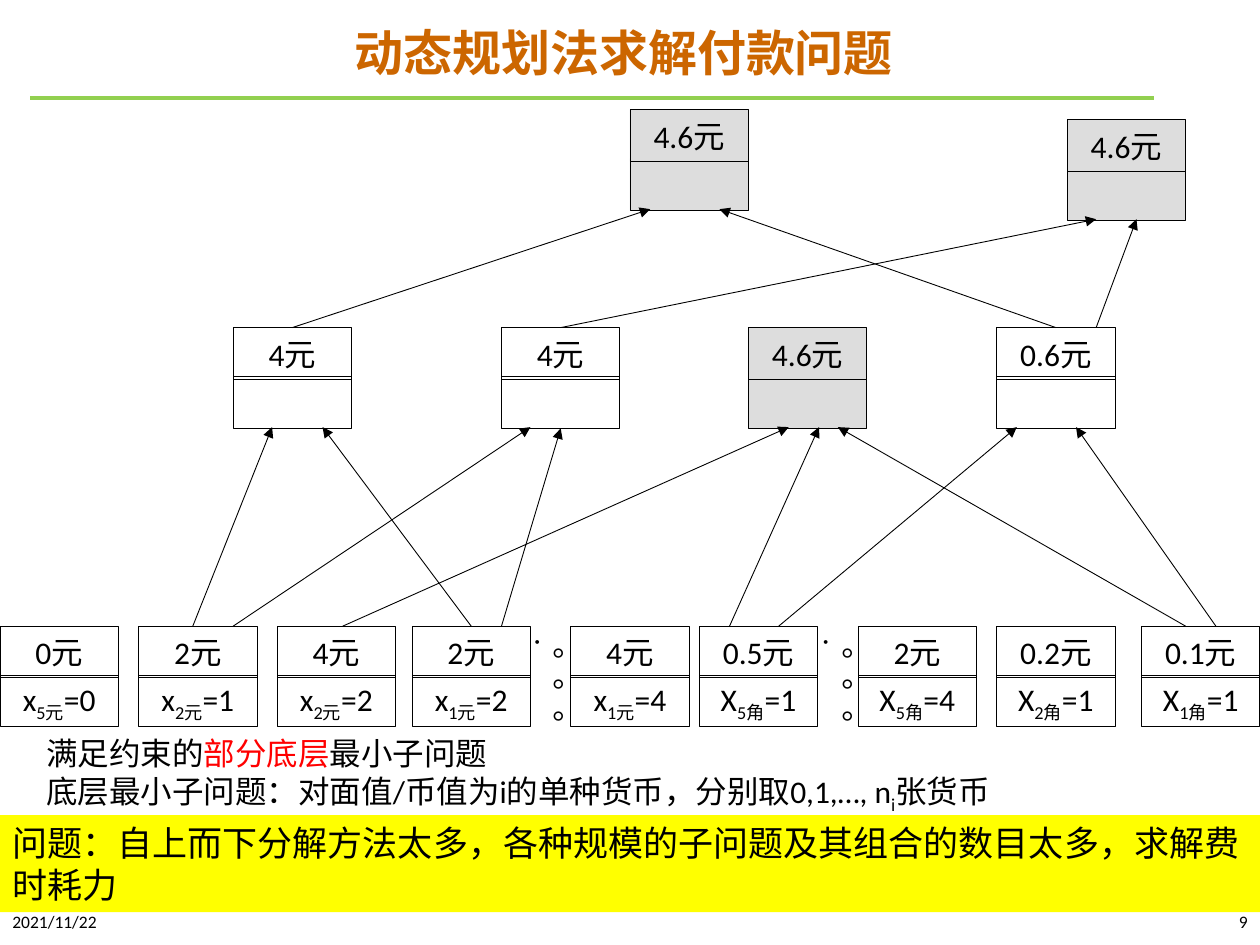
from lxml.etree import SubElement
from pptx import Presentation
from pptx.dml.color import RGBColor
from pptx.enum.shapes import MSO_CONNECTOR, MSO_SHAPE
from pptx.enum.text import MSO_ANCHOR, PP_ALIGN
from pptx.oxml.ns import qn
from pptx.util import Inches, Pt

BLACK = RGBColor(0x00, 0x00, 0x00)
RED = RGBColor(0xFF, 0x00, 0x00)
ORANGE = RGBColor(0xCC, 0x66, 0x00)
GREEN = RGBColor(0x92, 0xD0, 0x50)
GREY = RGBColor(0xDD, 0xDD, 0xDD)
YELLOW = RGBColor(0xFF, 0xFF, 0x00)
LATIN_FONT = "Calibri"
CHINESE_FONT = "Noto Sans CJK SC"

CELL_WIDTH, CELL_HEIGHT = 0.94, 0.41
CELL_STEP = 0.39
MIDDLE_TOP, MIDDLE_BOTTOM, LEAF_TOP = 2.6, 3.39, 4.97
TOP, BOTTOM = 0, 2

UPPER_NODES = {
    "left 4": (1.85, MIDDLE_TOP, "4元", None),
    "right 4": (3.98, MIDDLE_TOP, "4元", None),
    "middle 4.6": (5.94, MIDDLE_TOP, "4.6元", GREY),
    "0.6": (7.91, MIDDLE_TOP, "0.6元", None),
    "first root": (5, 0.87, "4.6元", GREY),
    "second root": (8.47, 0.95, "4.6元", GREY),
}
LEAVES = [
    (0, "0元", "x", "5元", 0),
    (1.1, "2元", "x", "2元", 1),
    (2.2, "4元", "x", "2元", 2),
    (3.27, "2元", "x", "1元", 2),
    (4.53, "4元", "x", "1元", 4),
    (5.55, "0.5元", "X", "5角", 1),
    (6.81, "2元", "X", "5角", 4),
    (7.91, "0.2元", "X", "2角", 1),
    (9.06, "0.1元", "X", "1角", 1),
]
LEAF_ARROWS = [
    (2.72, 6.26), (5.79, 6.5), (9.41, 6.65), (1.53, 2.16),
    (6.18, 8.07), (9.65, 8.54), (1.85, 4.21),
]


def write_text(shape, paragraphs, size=18, color=BLACK, font=LATIN_FONT, bold=False,
               align=PP_ALIGN.LEFT, anchor=MSO_ANCHOR.TOP, wrap=True,
               line_spacing=None, vertical=False):
    frame = shape.text_frame
    frame.word_wrap = wrap
    frame.vertical_anchor = anchor
    if vertical:
        shape.element.txBody.bodyPr.set("vert", "eaVert")
    for index, runs in enumerate(paragraphs):
        paragraph = frame.add_paragraph() if index else frame.paragraphs[0]
        paragraph.alignment = align
        if line_spacing:
            paragraph.line_spacing = line_spacing
        for text, style in runs:
            run = paragraph.add_run()
            run.text = text
            run.font.size = Pt(size)
            run.font.bold = bold
            run.font.color.rgb = style.get("color", color)
            run.font.name = font
            properties = run._r.get_or_add_rPr()
            SubElement(properties, qn("a:ea")).set("typeface", CHINESE_FONT)
            if style.get("subscript"):
                properties.set("baseline", "-25000")


def plain(text):
    return [[(text, {})]]


def add_text(slide, box, paragraphs, **text_format):
    shape = slide.shapes.add_textbox(*map(Inches, box))
    write_text(shape, paragraphs, **text_format)


def add_rectangle(shapes, box, fill=None, line=None):
    shape = shapes.add_shape(MSO_SHAPE.RECTANGLE, *map(Inches, box))
    shape.shadow.inherit = False
    if fill is None:
        shape.fill.background()
    else:
        shape.fill.solid()
        shape.fill.fore_color.rgb = fill
    if line is None:
        shape.line.fill.background()
    else:
        shape.line.color.rgb = line
        shape.line.width = Pt(0.5)
    return shape


def add_node(slide, left, top, amount, fill=None, formula=None):
    group = slide.shapes.add_group_shape()
    cells = []
    for cell_top, paragraphs in ((top + CELL_STEP, formula), (top, plain(amount))):
        box = (left, cell_top, CELL_WIDTH, CELL_HEIGHT)
        cell = add_rectangle(group.shapes, box, fill, BLACK)
        if paragraphs:
            write_text(cell, paragraphs, align=PP_ALIGN.CENTER,
                       anchor=MSO_ANCHOR.MIDDLE, wrap=False)
        cells.append(cell)
    lower, upper = cells
    return upper, lower


def add_line(slide, start, end, color=BLACK, width=0.5, arrow=False):
    connector = slide.shapes.add_connector(
        MSO_CONNECTOR.STRAIGHT, *map(Inches, start + end))
    connector.line.color.rgb = color
    connector.line.width = Pt(width)
    if arrow:
        SubElement(connector.line._get_or_add_ln(), qn("a:tailEnd")).set("type", "triangle")
    SubElement(connector.element.spPr, qn("a:effectLst"))
    return connector


def add_arrows(slide, upper_nodes, leaf_nodes):
    for start, end in LEAF_ARROWS:
        add_line(slide, (start, LEAF_TOP), (end, MIDDLE_BOTTOM), arrow=True)
    add_line(slide, (8.7, MIDDLE_TOP), (9.02, 1.74), arrow=True)
    for name, start, end in (("left 4", 2.32, (5.16, 1.66)),
                             ("0.6", 8.38, (5.71, 1.66)),
                             ("right 4", 4.45, (8.7, 1.74))):
        arrow = add_line(slide, (start, MIDDLE_TOP), end, arrow=True)
        arrow.begin_connect(upper_nodes[name][0], TOP)
    arrow = add_line(slide, (3.74, LEAF_TOP), (2.56, MIDDLE_BOTTOM), arrow=True)
    arrow.begin_connect(leaf_nodes[3][0], TOP)
    arrow = add_line(slide, (3.98, LEAF_TOP), (4.45, MIDDLE_BOTTOM), arrow=True)
    arrow.end_connect(upper_nodes["right 4"][1], BOTTOM)


def main():
    presentation = Presentation()
    presentation.slide_width = Inches(10)
    presentation.slide_height = Inches(7.5)
    slide = presentation.slides.add_slide(presentation.slide_layouts[6])

    add_line(slide, (0.24, 0.78), (9.16, 0.78), color=GREEN, width=2.25)
    add_text(slide, (0.64, 0.1, 8.62, 0.68), plain("动态规划法求解付款问题"),
             size=28, color=ORANGE, font=CHINESE_FONT, bold=True,
             align=PP_ALIGN.CENTER, anchor=MSO_ANCHOR.MIDDLE, line_spacing=0.9)
    for left, text, align in ((0, "2021/11/22", PP_ALIGN.LEFT), (7.75, "9", PP_ALIGN.RIGHT)):
        add_text(slide, (left, 7.14, 2.25, 0.34), plain(text), size=10,
                 align=align, anchor=MSO_ANCHOR.MIDDLE)

    leaf_nodes = []
    for left, amount, variable, coin, count in LEAVES:
        formula = [[(variable, {}), (coin, {"subscript": True}), (f"={count}", {})]]
        leaf_nodes.append(add_node(slide, left, LEAF_TOP, amount, formula=formula))
    upper_nodes = {name: add_node(slide, *node) for name, node in UPPER_NODES.items()}
    add_arrows(slide, upper_nodes, leaf_nodes)
    for left in (4.05, 6.34):
        add_text(slide, (left, LEAF_TOP, 0.5, 0.92), plain(".。。。"), vertical=True)

    add_text(slide, (0.27, 5.78, 8.4, 0.69), [
        [("满足约束的", {}), ("部分底层", {"color": RED}), ("最小子问题", {})],
        [("底层最小子问题：对面值/币值为i的单种货币，分别取0,1,…, n", {}),
         ("i", {"subscript": True}), ("张货币", {})],
    ])
    banner = add_rectangle(slide.shapes, (0, 6.47, 10, 0.77), fill=YELLOW)
    write_text(banner, plain("问题：自上而下分解方法太多，各种规模的子问题及其组合的数目太多，求解费时耗力"),
               size=20)
    presentation.save("out.pptx")


if __name__ == "__main__":
    main()
